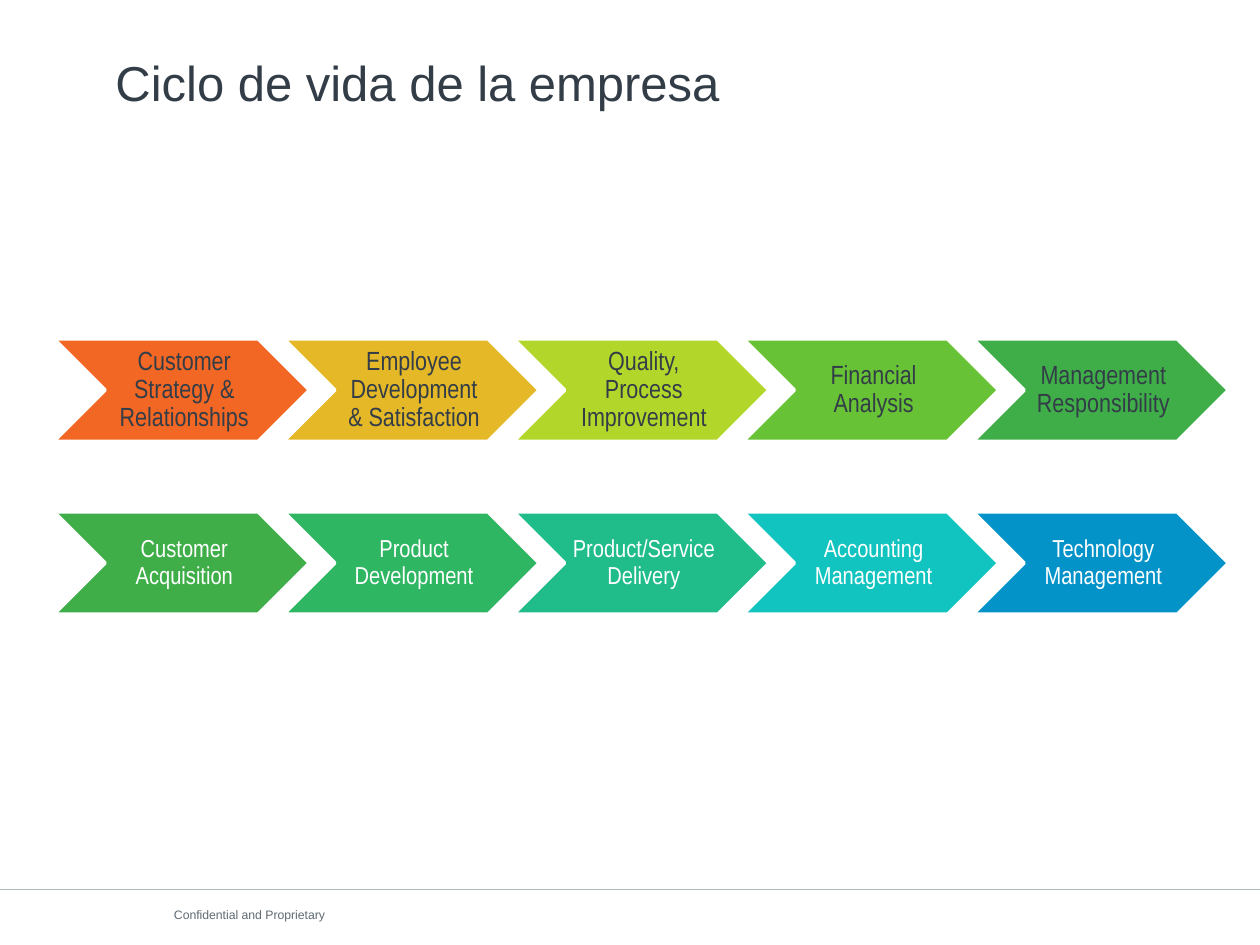
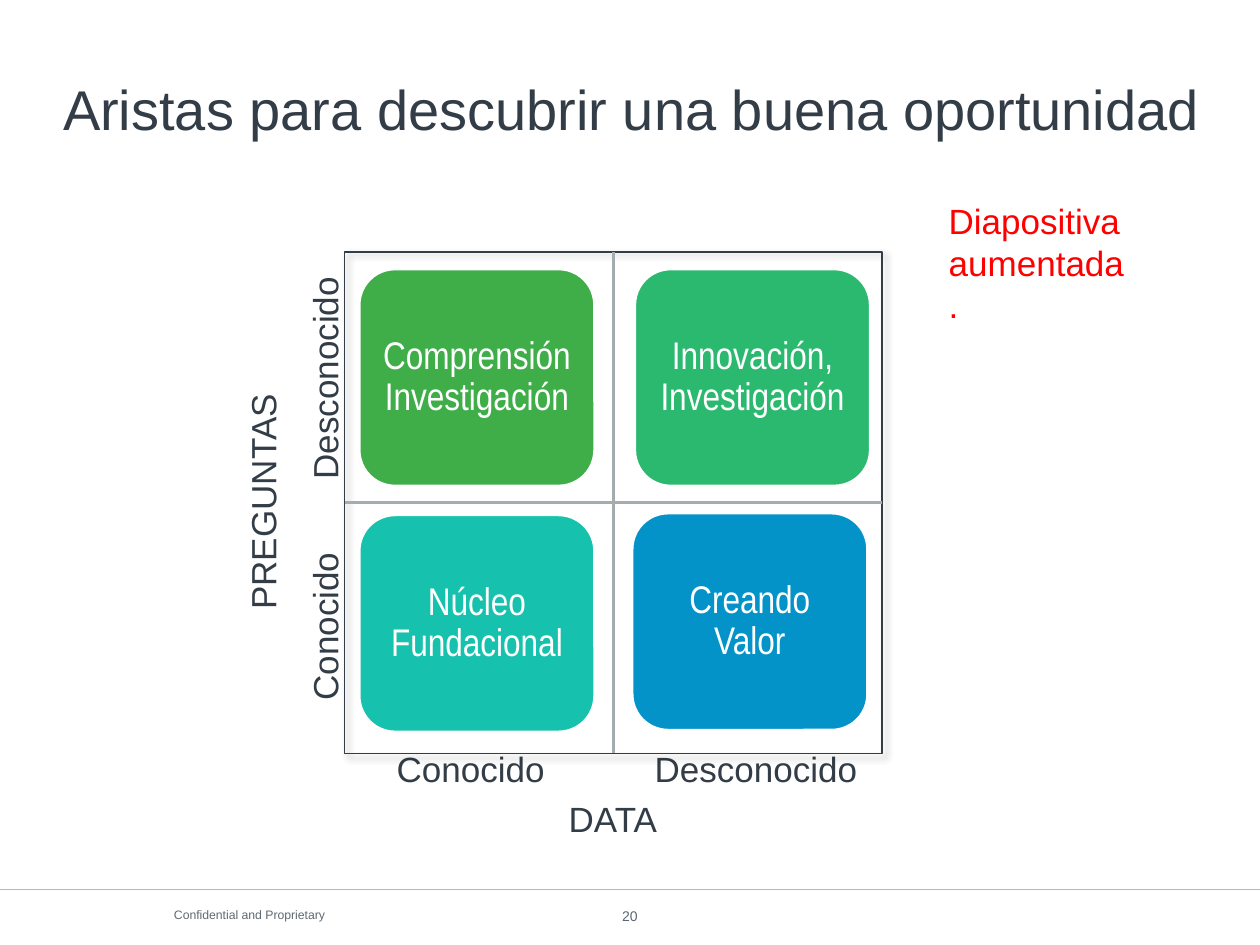
"""Builds two slides: a business life cycle and an opportunity matrix."""
import pptx
import pptx.util
import pptx.dml.color
import pptx.enum.shapes
import pptx.enum.text
import pptx.oxml
import pptx.oxml.ns

Pt = pptx.util.Pt
RGB = pptx.dml.color.RGBColor
KIND = pptx.enum.shapes.MSO_SHAPE
LINK = pptx.enum.shapes.MSO_CONNECTOR
ANCHOR = pptx.enum.text.MSO_ANCHOR
ALIGN = pptx.enum.text.PP_ALIGN
FIT = pptx.enum.text.MSO_AUTO_SIZE

HUE = {
    "ink": "333D47", "white": "FFFFFF", "red": "FF0000", "note": "5F6A72",
    "page": "5C666F", "rule": "B2BABC", "cross": "A5ACB0",
    "orange": "F26724", "gold": "E5B827", "lime": "B3D62B", "grass": "67C235",
    "green": "3FAE49", "jade": "2FB663", "mint": "20BD8B", "aqua": "11C4C0",
    "blue": "0493C9", "leaf": "2AB96F", "teal": "16C2AD",
}

FOOTER = "Confidential and Proprietary"
CYCLE = "Ciclo de vida de la empresa"
EDGES = "Aristas para descubrir una buena oportunidad"

ROWS = [
    {"top": 193.7, "size": 15, "hue": "ink", "steps": [
        ("Customer Strategy & Relationships", "orange"),
        ("Employee Development & Satisfaction", "gold"),
        ("Quality, Process Improvement", "lime"),
        ("Financial Analysis", "grass"),
        ("Management Responsibility", "green")]},
    {"top": 292.5, "size": 14, "hue": "white", "steps": [
        ("Customer Acquisition", "green"),
        ("Product Development", "jade"),
        ("Product/Service Delivery", "mint"),
        ("Accounting Management", "aqua"),
        ("Technology Management", "blue")]},
]
STEP = {"left": 30.8, "pitch": 131.3, "wide": 146, "high": 58.5}

TILES = [
    ("Comprensión Investigación", "green", 205, 153.5),
    ("Innovación, Investigación", "leaf", 362.5, 153.5),
    ("Núcleo Fundacional", "teal", 205, 294),
    ("Creando Valor", "blue", 361, 293),
]
TILE = (135, 124.5)
FRAME = (197, 144, 307, 286.5)

LABELS = [
    ("PREGUNTAS", 72.7, 269.3, 151, 270),
    ("Conocido", 111.6, 340.6, 144, 270),
    ("Desconocido", 111.6, 198.7, 144, 270),
    ("DATA", 306.7, 448.6, 87, 0),
    ("Conocido", 197, 419.8, 144, 0),
    ("Desconocido", 360, 419.8, 144, 0),
]

SHADE = (
    '<a:effectLst %s><a:outerShdw blurRad="50800" dist="38100" dir="2700000">'
    '<a:srgbClr val="000000"><a:alpha val="40000"/></a:srgbClr>'
    '</a:outerShdw></a:effectLst>' % pptx.oxml.ns.nsdecls("a"))
PLAIN = "<a:effectLst %s/>" % pptx.oxml.ns.nsdecls("a")


def color(name):
    return RGB.from_string(HUE[name])


def assign(item, form):
    for key, value in form.items():
        setattr(item, key, value)


def write(shape, text, size, hue, face="Arial", align=ALIGN.LEFT,
          anchor=ANCHOR.TOP, space=1.0, pad=(0, 0, 0, 0)):
    frame = shape.text_frame
    frame.text = text
    sides = ("margin_left", "margin_top", "margin_right", "margin_bottom")
    assign(frame, {"word_wrap": True, "auto_size": FIT.NONE,
                   "vertical_anchor": anchor})
    assign(frame, {side: Pt(gap) for side, gap in zip(sides, pad)})
    para = frame.paragraphs[0]
    assign(para, {"alignment": align, "line_spacing": space})
    assign(para.font, {"size": Pt(size), "name": face})
    para.font.color.rgb = color(hue)


def label(slide, box, text, size, hue, **form):
    shape = slide.shapes.add_textbox(*map(Pt, box))
    write(shape, text, size, hue, **form)
    return shape


def block(slide, kind, box, fill, text, size, hue, pad):
    shape = slide.shapes.add_shape(kind, *map(Pt, box))
    shape.shadow.inherit = False
    shape.fill.solid()
    shape.fill.fore_color.rgb = color(fill)
    shape.line.color.rgb = color("white")
    shape.line.width = Pt(2)
    write(shape, text, size, hue, face="Arial Narrow", align=ALIGN.CENTER,
          anchor=ANCHOR.MIDDLE, space=0.9, pad=pad)


def rule(slide, ends, hue, width):
    line = slide.shapes.add_connector(LINK.STRAIGHT, *map(Pt, ends))
    line.line.color.rgb = color(hue)
    line.line.width = Pt(width)
    line._element.spPr.append(pptx.oxml.parse_xml(PLAIN))
    return line


def start(deck, title, box, size):
    slide = deck.slides.add_slide(deck.slide_layouts[5])
    head = slide.shapes.title
    assign(head, dict(zip(("left", "top", "width", "height"), map(Pt, box))))
    write(head, title, size, "ink", anchor=ANCHOR.MIDDLE, space=0.95)
    rule(slide, (0, 508.3, 720, 508.3), "rule", 0.75)
    label(slide, (99.4, 519.8, 101.5, 14.4), FOOTER, 7, "note", space=0.85)
    return slide


def cycle(deck):
    slide = start(deck, CYCLE, (66, 20, 526.5, 57), 28)
    for row in ROWS:
        for col, (text, fill) in enumerate(row["steps"]):
            left = STEP["left"] + col * STEP["pitch"]
            box = (left, row["top"], STEP["wide"], STEP["high"])
            block(slide, KIND.CHEVRON, box, fill, text, row["size"],
                  row["hue"], (4.5, 1.5, 1.5, 1.5))


def matrix(deck):
    slide = start(deck, EDGES, (36, 13, 662, 101.5), 32)
    label(slide, (341.3, 516.3, 37.4, 14.4), "20", 8, "page",
          align=ALIGN.CENTER, anchor=ANCHOR.MIDDLE)
    for text, fill, left, top in TILES:
        block(slide, KIND.ROUNDED_RECTANGLE, (left, top, *TILE), fill, text,
              22, "white", (6.5,) * 4)
    pad = (7.2, 7.2, 7.2, 3.6)
    for text, left, top, wide, turn in LABELS:
        tag = label(slide, (left, top, wide, 35), text, 20, "ink",
                    align=ALIGN.CENTER, pad=pad)
        tag.rotation = turn
    frame = slide.shapes.add_shape(KIND.RECTANGLE, *map(Pt, FRAME))
    frame.fill.background()
    frame.line.color.rgb = color("ink")
    frame.line.width = Pt(0.75)
    frame._element.spPr.append(pptx.oxml.parse_xml(SHADE))
    left, top, wide, high = FRAME
    midx, midy = left + wide / 2, top + high / 2
    for ends, first, last in (
            ((left, midy, left + wide, midy), 1, 3),
            ((midx, top, midx, top + high), 0, 2)):
        line = rule(slide, ends, "cross", 2)
        line.begin_connect(frame, first)
        line.end_connect(frame, last)
    label(slide, (535, 106.6, 118.8, 113), "Diapositiva aumentada.", 20,
          "red", pad=pad)


def main():
    deck = pptx.Presentation()
    assign(deck, {"slide_width": Pt(720), "slide_height": Pt(540)})
    cycle(deck)
    matrix(deck)
    deck.save("out.pptx")


if __name__ == "__main__":
    main()
